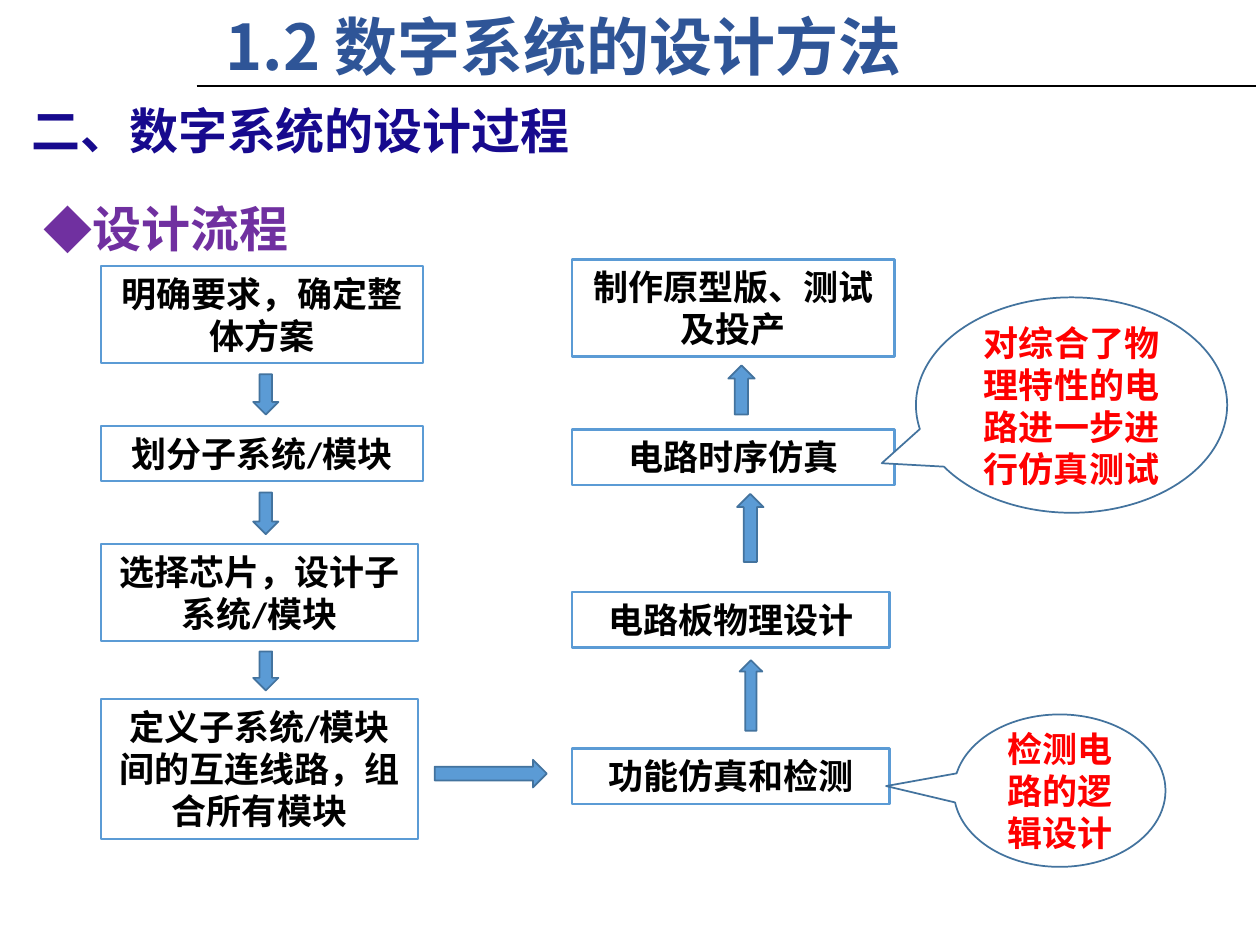
import pptx
import pptx.dml.color
import pptx.enum.shapes
import pptx.enum.text
import pptx.util
from lxml import etree
from pptx.oxml.ns import qn

Inches = pptx.util.Inches
Pt = pptx.util.Pt
RGBColor = pptx.dml.color.RGBColor
SHAPE = pptx.enum.shapes.MSO_SHAPE
ALIGN = pptx.enum.text.PP_ALIGN
ANCHOR = pptx.enum.text.MSO_ANCHOR

TITLE_BLUE = RGBColor(0x2F, 0x55, 0x97)
NAVY = RGBColor(0x17, 0x0A, 0x8E)
PURPLE = RGBColor(0x70, 0x30, 0xA0)
BLUE = RGBColor(0x5B, 0x9B, 0xD5)
OUTLINE = RGBColor(0x43, 0x73, 0x9E)
RED = RGBColor(0xFF, 0x00, 0x00)
BLACK = RGBColor(0x00, 0x00, 0x00)
WHITE = RGBColor(0xFF, 0xFF, 0xFF)

CHINESE_FONT = "Noto Sans CJK SC"
BODY_FONT = "Calibri"

LEFT_COLUMN, RIGHT_COLUMN = 0.8, 4.54
# column, top, width, height, text
STEPS = [
    (LEFT_COLUMN, 2.11, 2.56, 0.77, "明确要求，确定整体方案"),
    (LEFT_COLUMN, 3.38, 2.56, 0.44, "划分子系统/模块"),
    (LEFT_COLUMN, 4.32, 2.52, 0.77, "选择芯片，设计子系统/模块"),
    (LEFT_COLUMN, 5.55, 2.52, 1.11, "定义子系统/模块间的互连线路，组合所有模块"),
    (RIGHT_COLUMN, 5.94, 2.52, 0.44, "功能仿真和检测"),
    (RIGHT_COLUMN, 4.7, 2.52, 0.44, "电路板物理设计"),
    (RIGHT_COLUMN, 3.41, 2.56, 0.44, "电路时序仿真"),
    (RIGHT_COLUMN, 2.06, 2.56, 0.77, "制作原型版、测试及投产"),
]
ARROWS = [
    (SHAPE.DOWN_ARROW, 2.01, 2.97, 0.2, 0.32),
    (SHAPE.DOWN_ARROW, 2.01, 3.91, 0.2, 0.33),
    (SHAPE.DOWN_ARROW, 2.01, 5.17, 0.2, 0.31),
    (SHAPE.RIGHT_ARROW, 3.45, 6.03, 0.89, 0.22),
    (SHAPE.UP_ARROW, 5.87, 5.24, 0.18, 0.56),
    (SHAPE.UP_ARROW, 5.85, 3.92, 0.21, 0.54),
    (SHAPE.UP_ARROW, 5.78, 2.9, 0.21, 0.39),
]
# left, top, width, height, pointer position, text
CALLOUTS = [
    (7.57, 5.67, 1.68, 1.21, (-0.82, -0.03), "检测电路的逻辑设计"),
    (7.27, 2.36, 2.47, 1.71, (-0.61, 0.27), "对综合了物理特性的电路进一步进行仿真测试"),
]


class FlowSlide:
    def __init__(self, slide):
        self.slide = slide

    def label(self, shape, text, size, color, font=BODY_FONT, bullet=None):
        """Put one bold paragraph into the shape and return it."""
        shape.text_frame.word_wrap = True
        paragraph = shape.text_frame.paragraphs[0]
        paragraph.text = text
        properties = paragraph._p.get_or_add_pPr()
        if bullet:
            properties.set("marL", str(Inches(0.23)))
            properties.set("indent", str(-Inches(0.23)))
            etree.SubElement(properties, qn("a:buFont"), typeface=CHINESE_FONT)
            etree.SubElement(properties, qn("a:buChar"), char=bullet)
        paragraph.font.size = Pt(size)
        paragraph.font.bold = True
        paragraph.font.color.rgb = color
        paragraph.font.name = font
        etree.SubElement(properties.find(qn("a:defRPr")), qn("a:ea"),
                         typeface=CHINESE_FONT)
        return paragraph

    def heading(self, left, top, width, height, text, size, color, bullet=None):
        box = self.slide.shapes.add_textbox(
            Inches(left), Inches(top), Inches(width), Inches(height))
        return self.label(box, text, size, color, CHINESE_FONT, bullet)

    def rule(self, left, right, top):
        line = self.slide.shapes.add_connector(
            pptx.enum.shapes.MSO_CONNECTOR.STRAIGHT,
            Inches(left), Inches(top), Inches(right), Inches(top))
        line.line.color.rgb = BLACK
        line.line.width = Pt(1.25)
        etree.SubElement(line._element.spPr, qn("a:effectLst"))

    def shape(self, kind, left, top, width, height, fill, outline, weight):
        shape = self.slide.shapes.add_shape(
            kind, Inches(left), Inches(top), Inches(width), Inches(height))
        shape.shadow.inherit = False
        if fill is None:
            shape.fill.background()
        else:
            shape.fill.solid()
            shape.fill.fore_color.rgb = fill
        shape.line.color.rgb = outline
        shape.line.width = Pt(weight)
        return shape

    def step(self, left, top, width, height, text):
        box = self.shape(SHAPE.RECTANGLE, left, top, width, height,
                         None, BLUE, 1.25)
        box.text_frame.vertical_anchor = ANCHOR.TOP
        self.label(box, text, 20, BLACK).alignment = ALIGN.CENTER

    def arrow(self, kind, left, top, width, height):
        self.shape(kind, left, top, width, height, BLUE, OUTLINE, 1)

    def callout(self, left, top, width, height, pointer, text):
        bubble = self.shape(SHAPE.OVAL_CALLOUT, left, top, width, height,
                            WHITE, OUTLINE, 1)
        bubble.adjustments[0], bubble.adjustments[1] = pointer
        bubble.text_frame.vertical_anchor = ANCHOR.MIDDLE
        self.label(bubble, text, 20, RED).alignment = ALIGN.CENTER


def main():
    presentation = pptx.Presentation()
    presentation.slide_width = Inches(10)
    presentation.slide_height = Inches(7.5)
    flow = FlowSlide(presentation.slides.add_slide(presentation.slide_layouts[6]))

    flow.heading(1.69, 0.01, 5.99, 0.71, "1.2 数字系统的设计方法", 36, TITLE_BLUE)
    flow.rule(1.56, 9.97, 0.68)
    flow.heading(0.15, 0.75, 5.09, 0.57, "二、数字系统的设计过程", 28, NAVY)
    process = flow.heading(0.25, 1.29, 2.4, 0.71, "设计流程", 28, PURPLE, "◆")
    process.line_spacing = 1.5

    for step in STEPS:
        flow.step(*step)
    for arrow in ARROWS:
        flow.arrow(*arrow)
    for callout in CALLOUTS:
        flow.callout(*callout)

    presentation.save("out.pptx")


if __name__ == "__main__":
    main()
